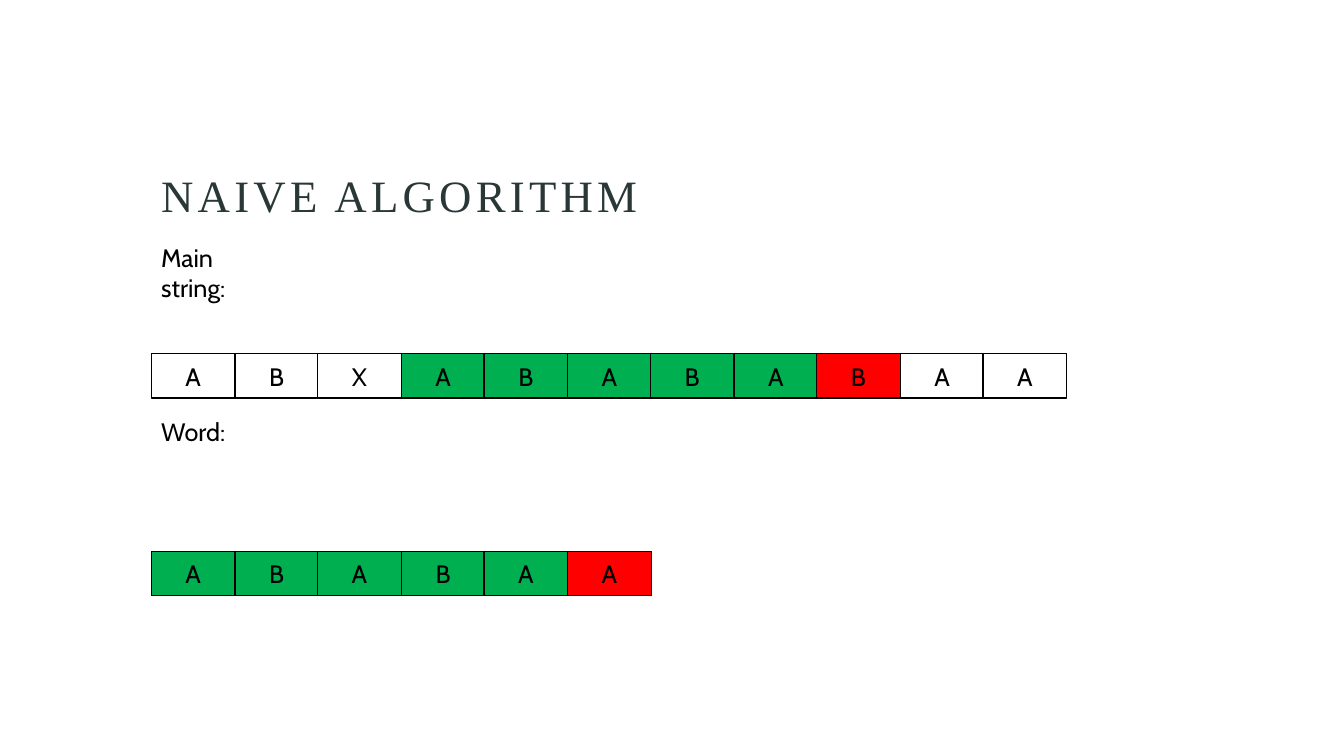
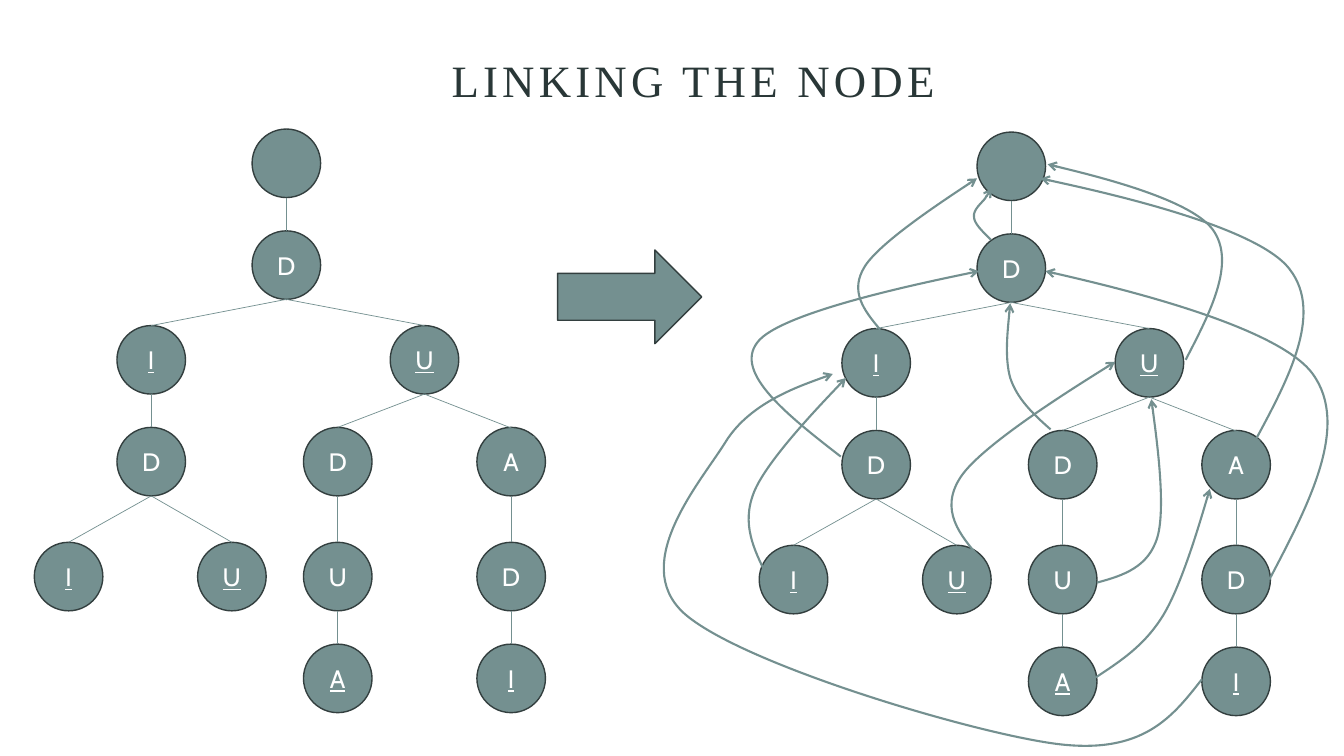
from dataclasses import dataclass
from functools import reduce
from typing import Any, NamedTuple

from lxml.etree import SubElement as Sub
from pptx import Presentation as Deck
from pptx.dml.color import RGBColor as Rgb
from pptx.enum.shapes import MSO_CONNECTOR as Wire, MSO_SHAPE as Form
from pptx.enum.text import MSO_ANCHOR as Anchor, PP_ALIGN as Align
from pptx.oxml.ns import qn
from pptx.util import Emu, Pt

PX = 9144  # one hundredth of an inch
STEPS = 24


@dataclass(frozen=True)
class Theme:
    ink: Rgb = Rgb(0, 0, 0)
    white: Rgb = Rgb(255, 255, 255)
    green: Rgb = Rgb(0x00, 0xB0, 0x50)
    red: Rgb = Rgb(255, 0, 0)
    head: Rgb = Rgb(0x29, 0x37, 0x37)
    sage: Rgb = Rgb(0x74, 0x90, 0x90)
    edge: Rgb = Rgb(0x33, 0x3F, 0x3F)
    serif: str = "Times New Roman"
    sans: str = "Cabin"
    big: int = 32
    small: int = 18
    thin: float = 0.5
    line: float = 1
    bold: float = 1.5


T = Theme()


class Box(NamedTuple):
    x: int
    y: int
    w: int
    h: int


class Row(NamedTuple):
    y: int
    text: str
    marks: str


class Node(NamedTuple):
    x: int
    y: int
    text: str = ""
    under: bool = False


class Link(NamedTuple):
    start: str
    end: str
    dx: int = 34
    dy: int = 0


Point = tuple[int, int]

CELL = Box(150, 0, 83, 44)
HUES = {"-": T.white, "+": T.green, "x": T.red}
ROWS = [
    Row(351, "ABXABABABAA", "---+++++x--"),
    Row(547, "ABABAA", "+++++x"),
]

SIZE = 68
NODES = {
    "root": Node(250, 128),
    "d": Node(250, 229, "D"),
    "du": Node(387, 323, "U", True),
    "di": Node(116, 323, "I", True),
    "did": Node(116, 424, "D"),
    "didi": Node(34, 538, "I", True),
    "didu": Node(196, 538, "U", True),
    "dud": Node(301, 424, "D"),
    "dudu": Node(301, 538, "U"),
    "dudua": Node(301, 639, "A", True),
    "dua": Node(473, 424, "A"),
    "duad": Node(473, 538, "D"),
    "duadi": Node(473, 639, "I", True),
}
LINKS = [
    Link("root", "d"), Link("d", "di"), Link("d", "du"),
    Link("di", "did"), Link("did", "didi"), Link("did", "didu"),
    Link("du", "dud"), Link("du", "dua", 58, 10),
    Link("dud", "dudu"), Link("dudu", "dudua"),
    Link("dua", "duad"), Link("duad", "duadi"),
]
TREES: list[Point] = [(719, 3), (0, 0)]

# Start point, then two handles and an end point for each bend.
CURVES: list[list[Point]] = [
    [(873, 327), (857, 308), (842, 289), (858, 264),
     (874, 239), (969, 177), (969, 177)],
    [(760, 570), (748, 545), (735, 520), (748, 488),
     (761, 456), (839, 375), (839, 375)],
    [(973, 555), (952, 531), (931, 506), (953, 473),
     (975, 440), (1106, 359), (1106, 359)],
    [(834, 453), (781, 412), (728, 370), (751, 340),
     (773, 309), (971, 269), (971, 269)],
    [(1176, 357), (1201, 309), (1226, 260), (1203, 228),
     (1180, 196), (1039, 163), (1039, 163)],
    [(1239, 448), (1276, 380), (1314, 312), (1279, 267),
     (1245, 222), (1032, 177), (1032, 177)],
    [(1259, 575), (1299, 499), (1339, 422), (1302, 371),
     (1265, 320), (1037, 269), (1037, 269)],
    [(1088, 578), (1114, 571), (1139, 563), (1148, 533),
     (1157, 502), (1142, 396), (1142, 396)],
    [(1042, 426), (1025, 411), (1009, 396), (1002, 375),
     (996, 354), (1002, 301), (1002, 301)],
    [(1087, 672), (1111, 656), (1135, 641), (1154, 610),
     (1173, 578), (1200, 485), (1200, 485)],
    [(1192, 674), (1163, 711), (1134, 749), (1048, 738),
     (963, 727), (733, 658), (678, 608), (624, 558),
     (696, 477), (720, 438), (745, 398), (826, 371), (826, 371)],
    [(983, 238), (975, 230), (966, 222), (966, 215),
     (965, 208), (974, 201), (977, 197), (980, 192),
     (982, 190), (984, 187)],
]


def put(item: Any, form: dict[str, Any]) -> None:
    """Set each value; a dotted key reaches into a nested object."""
    for key, value in form.items():
        *route, last = key.split(".")
        setattr(reduce(getattr, route, item), last, value)


def emu(*nums: int) -> list[Emu]:
    return [Emu(num * PX) for num in nums]


def write(shape: Any, text: str, font: dict[str, Any], anchor: Anchor,
          align: Align = Align.LEFT) -> Any:
    put(shape.text_frame, {"word_wrap": True, "vertical_anchor": anchor})
    para = shape.text_frame.paragraphs[0]
    para.alignment = align
    run = para.add_run()
    run.text = text
    put(run.font, font)
    return para


def sans(tint: Rgb, under: bool = False) -> dict[str, Any]:
    form = {"name": T.sans, "size": Pt(T.small), "color.rgb": tint}
    return form | {"underline": True} if under else form


def title(slide: Any, box: Box, text: str) -> None:
    shape = slide.shapes.add_textbox(*emu(*box))
    font = {"name": T.serif, "size": Pt(T.big), "color.rgb": T.head}
    para = write(shape, text, font, Anchor.BOTTOM)
    para.line_spacing = 0.9
    para.runs[0]._r.get_or_add_rPr().set("spc", "300")


def label(slide: Any, box: Box, text: str) -> None:
    shape = slide.shapes.add_textbox(*emu(*box))
    write(shape, text, sans(T.ink), Anchor.TOP)


def block(slide: Any, form: Form, box: Box, fill: Rgb, edge: Rgb) -> Any:
    shape = slide.shapes.add_shape(form, *emu(*box))
    shape.fill.solid()
    put(shape, {"fill.fore_color.rgb": fill, "line.color.rgb": edge,
                "line.width": Pt(T.line), "shadow.inherit": False})
    return shape


def cells(slide: Any, row: Row) -> None:
    for i, (text, mark) in enumerate(zip(row.text, row.marks)):
        left = CELL.x + (i * 165 + 1) // 2  # pitch of 82.5
        box = CELL._replace(x=left, y=row.y)
        shape = block(slide, Form.RECTANGLE, box, HUES[mark], T.ink)
        write(shape, text, sans(T.ink), Anchor.MIDDLE, Align.CENTER)


def tree(slide: Any, shift: Point) -> None:
    dx, dy = shift
    for node in NODES.values():
        box = Box(node.x + dx, node.y + dy, SIZE, SIZE)
        shape = block(slide, Form.OVAL, box, T.sage, T.edge)
        if node.text:
            write(shape, node.text, sans(T.white, node.under),
                  Anchor.MIDDLE, Align.CENTER)
    for link in LINKS:
        top, low = NODES[link.start], NODES[link.end]
        wire = slide.shapes.add_connector(Wire.STRAIGHT, *emu(
            top.x + SIZE // 2 + dx, top.y + SIZE + dy,
            low.x + link.dx + dx, low.y + link.dy + dy))
        put(wire.line, {"color.rgb": T.sage, "width": Pt(T.thin)})
        Sub(wire._element.spPr, qn("a:effectLst"))


def trace(pts: list[Point]) -> list[tuple[float, float]]:
    """Sample the bends, so that the frame fits the drawn curve."""
    spots = []
    for i in range(0, len(pts) - 1, 3):
        for step in range(1, STEPS + 1):
            t = step / STEPS
            u = 1 - t
            parts = (u ** 3, 3 * u * u * t, 3 * u * t * t, t ** 3)
            x, y = (sum(k * p[axis] for k, p in zip(parts, pts[i:i + 4]))
                    for axis in (0, 1))
            spots.append((x, y))
    return spots


def curve(slide: Any, pts: list[Point]) -> None:
    """Draw an arrow along true cubic bends."""
    pen = slide.shapes.build_freeform(*pts[0], scale=PX)
    pen.add_line_segments(trace(pts), close=False)
    shape = pen.convert_to_shape()
    shape.fill.background()
    put(shape, {"line.color.rgb": T.sage, "line.width": Pt(T.bold),
                "shadow.inherit": False})
    Sub(shape.line._get_or_add_ln(), qn("a:tailEnd"), type="arrow")

    left, top = round(shape.left / PX), round(shape.top / PX)
    track = next(shape._element.iter(qn("a:path")))
    for part in list(track):
        track.remove(part)
    moves = [("a:moveTo", pts[:1])]
    moves += [("a:cubicBezTo", pts[i:i + 3]) for i in range(1, len(pts), 3)]
    for tag, group in moves:
        part = Sub(track, qn(tag))
        for x, y in group:
            Sub(part, qn("a:pt"), x=str(x - left), y=str(y - top))


def naive(slide: Any) -> None:
    title(slide, Box(150, 75, 1038, 150), "NAIVE ALGORITHM")
    for row in ROWS:
        cells(slide, row)
    label(slide, Box(150, 235, 130, 40), "Main string:")
    label(slide, Box(150, 408, 86, 40), "Word:")


def linking(slide: Any) -> None:
    title(slide, Box(438, 0, 895, 111), "LINKING THE NODE")
    for shift in TREES:
        tree(slide, shift)
    arrow = block(slide, Form.UP_ARROW, Box(578, 223, 93, 143),
                  T.sage, T.edge)
    arrow.rotation = 90
    for pts in CURVES:
        curve(slide, pts)


def main() -> None:
    deck = Deck()
    wide, high = emu(1333, 750)
    put(deck, {"slide_width": wide, "slide_height": high})
    for draw in (naive, linking):
        draw(deck.slides.add_slide(deck.slide_layouts[6]))
    deck.save("out.pptx")


if __name__ == "__main__":
    main()
